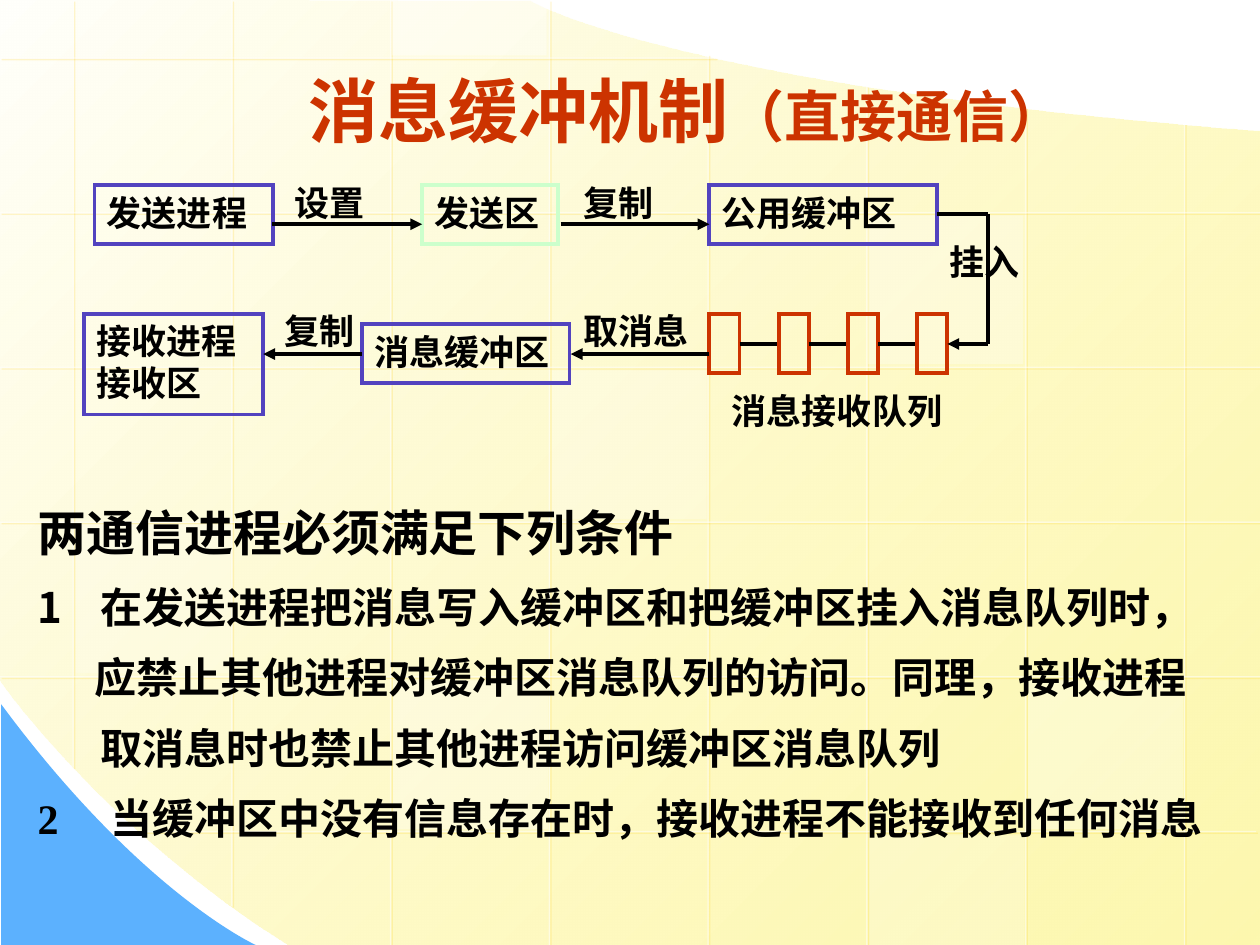
from lxml.etree import SubElement
from pptx import Presentation
from pptx.dml.color import RGBColor
from pptx.enum.shapes import MSO_CONNECTOR, MSO_SHAPE
from pptx.enum.text import MSO_ANCHOR, MSO_AUTO_SIZE, PP_ALIGN
from pptx.oxml.ns import qn
from pptx.util import Inches, Pt

WHITE = RGBColor(0xFF, 0xFF, 0xFF)
BLACK = RGBColor(0, 0, 0)
IVORY = RGBColor(0xFF, 0xFF, 0xFB)
YELLOW = RGBColor(0xFD, 0xF5, 0x8D)
SKY = RGBColor(0x5C, 0xB1, 0xFE)
GOLD = RGBColor(0xFF, 0xCC, 0x00)
RED = RGBColor(0xCC, 0x33, 0x00)
VIOLET = RGBColor(0x52, 0x43, 0xBF)
MINT = RGBColor(0xCC, 0xFF, 0xCC)

PANEL = [[(10, 1.04)],
         [(10, 4.27), (10, 7.5), (10, 7.5)],
         [(10, 7.5), (6.15, 7.5), (2.3, 7.5)],
         [(0.86, 6.61), (-0.01, 5.39), (0, 5.39)],
         [(-0.01, -0.01)], [(4.21, 0.01)],
         [(4.21, 0.01), (5.37, 0.69), (10, 1.04)]]
CORNER = [[(0.01, 5.59)],
          [(0.01, 6.55), (0.01, 7.5), (0.01, 7.5)], [(2.03, 7.5)],
          [(2.03, 7.5), (1.12, 7.09), (0.01, 5.59)]]
GRID_COLUMNS = [(0, 6.09), (0, 7.19), (0, 7.5), (0, 7.52),
                (0.43, 7.52), (0.68, 7.52), (0.85, 7.52), (0.98, 7.52)]
GRID_ROWS = [(5.68, 0)] + [(10.01, 0)] * 4 + [(9.97, 1.11)]
GRID_TOP, GRID_BOTTOM = 0.46, 6.6
TINTS = [(4.38, 2.94, 1.18, 25), (8.16, 5.4, 1.18, 30), (0.6, 4.16, 1.18, 20),
         (6.9, 6.63, 0.87, 20), (3.11, 0, 0.44, 40), (3.12, 5.4, 1.18, 30),
         (6.89, 1.71, 1.18, 30)]
BOXES = [(0.75, 1.47, 1.42, 0.47, VIOLET, ["发送进程"]),
         (3.35, 1.47, 1.08, 0.47, MINT, ["发送区"]),
         (5.63, 1.47, 1.81, 0.47, VIOLET, ["公用缓冲区"]),
         (2.87, 2.57, 1.65, 0.47, VIOLET, ["消息缓冲区"]),
         (0.67, 2.49, 1.42, 0.8, VIOLET, ["接收进程", "接收区"])]
ARROWS = [(2.16, 1.78, 3.35, 1.78), (4.45, 1.78, 5.63, 1.78),
          (7.84, 2.73, 7.52, 2.73), (5.63, 2.81, 4.53, 2.81),
          (2.87, 2.81, 2.09, 2.81)]
ELBOW = [(7.44, 1.7, 7.84, 1.7), (7.84, 1.7, 7.84, 2.73)]
LABELS = [(2.24, 1.39, 0.94, "设置"), (4.53, 1.39, 0.94, "复制"),
          (5.71, 3.04, 2.52, "消息接收队列"), (7.44, 1.86, 0.94, "挂入"),
          (4.53, 2.41, 1.18, "取消息"), (2.16, 2.41, 0.94, "复制")]
CONDITIONS = [
    ("两通信进程必须满足下列条件", 28, 0.5, -0.5, False),
    ("在发送进程把消息写入缓冲区和把缓冲区挂入消息队列时，", 24, 0.5, -0.5, True),
    ("应禁止其他进程对缓冲区消息队列的访问。同理，接收进程取消息时也禁止其他进程访问缓冲区消息队列",
     24, 0.5, -0.05, False),
    ("2\t当缓冲区中没有信息存在时，接收进程不能接收到任何消息", 24, 0.58, -0.58, False)]
FRAME = {"word_wrap": True, "vertical_anchor": MSO_ANCHOR.TOP,
         "auto_size": MSO_AUTO_SIZE.SHAPE_TO_FIT_TEXT}
TITLE_FRAME = {"word_wrap": True, "vertical_anchor": MSO_ANCHOR.BOTTOM}


def apply_format(target, values):
    """Set every attribute in values on target."""
    for name, value in values.items():
        setattr(target, name, value)


def set_alpha(parent, percent):
    """Make the first RGB colour under parent partly transparent."""
    color = next(parent.iter(qn("a:srgbClr")))
    SubElement(color, qn("a:alpha"), val=str(percent * 1000))


def add_run(paragraph, text, size, color=BLACK, font_name="Times New Roman"):
    """Append a bold run."""
    run = paragraph.add_run()
    run.text = text
    apply_format(run.font, {"name": font_name, "size": Pt(size), "bold": True})
    run.font.color.rgb = color


def add_curved(slide, outline):
    """Draw a closed outline whose three-point parts are cubic curves."""
    points = [(Inches(x), Inches(y)) for part in outline for x, y in part]
    builder = slide.shapes.build_freeform(*points[0])
    builder.add_line_segments(points[1:], close=False)
    shape = builder.convert_to_shape()
    outline_path = next(shape._element.iter(qn("a:path")))
    segments = iter(list(outline_path)[1:])
    for part in outline[1:]:
        group = [next(segments) for point in part]
        if len(part) == 3:
            curve = SubElement(outline_path, qn("a:cubicBezTo"))
            group[0].addprevious(curve)
            for segment in group:
                curve.append(segment[0])
                outline_path.remove(segment)
    SubElement(outline_path, qn("a:close"))
    shape.shadow.inherit = False
    shape.line.fill.background()
    return shape


def add_line(slide, ends, color=BLACK, width=2.25, arrow=False):
    """Draw a straight line and return it with its empty effect list."""
    line = slide.shapes.add_connector(MSO_CONNECTOR.STRAIGHT, *map(Inches, ends))
    line.line.color.rgb = color
    line.line.width = Pt(width)
    if arrow:
        SubElement(line.line._get_or_add_ln(), qn("a:tailEnd"), type="triangle")
    return line, SubElement(line._element.spPr, qn("a:effectLst"))


def add_grid_line(slide, ends):
    """Draw a faint white line with a golden shadow."""
    line, effects = add_line(slide, ends, WHITE, 0.75)
    set_alpha(line._element.spPr, 50)
    shadow = SubElement(effects, qn("a:outerShdw"), dist=str(Pt(1.4)), dir="2700000")
    SubElement(shadow, qn("a:srgbClr"), val=str(GOLD))
    set_alpha(shadow, 34)


def add_rectangle(slide, left, top, width, height):
    """Draw a plain rectangle."""
    shape = slide.shapes.add_shape(
        MSO_SHAPE.RECTANGLE, *map(Inches, (left, top, width, height)))
    shape.shadow.inherit = False
    return shape


def add_box(slide, left, top, width, height, color, lines=()):
    """Draw an outlined box with optional lines of text."""
    shape = add_rectangle(slide, left, top, width, height)
    shape.fill.background()
    shape.line.color.rgb = color
    shape.line.width = Pt(2.25)
    SubElement(shape.line._get_or_add_ln(), qn("a:miter"), lim="800000")
    if lines:
        apply_format(shape.text_frame, FRAME)
    for index, text in enumerate(lines):
        frame = shape.text_frame
        paragraph = frame.add_paragraph() if index else frame.paragraphs[0]
        paragraph.alignment = PP_ALIGN.LEFT
        add_run(paragraph, text, 20)


def add_text_frame(slide, left, top, width, height, values=FRAME):
    """Add a text box and return its frame."""
    box = slide.shapes.add_textbox(*map(Inches, (left, top, width, height)))
    apply_format(box.text_frame, values)
    return box.text_frame


def add_background(slide):
    """Draw the coloured panels, the grid and its tinted cells."""
    panel = add_curved(slide, PANEL)
    panel.fill.gradient()
    panel.fill.gradient_angle = 315
    stops = panel.fill.gradient_stops
    for stop, color, position in zip(stops, (IVORY, YELLOW), (0, 1)):
        stop.color.rgb = color
        stop.position = position
    set_alpha(stops[1]._gs, 70)
    corner = add_curved(slide, CORNER)
    corner.fill.solid()
    corner.fill.fore_color.rgb = SKY
    for index, (top, bottom) in enumerate(GRID_COLUMNS):
        x = 0.58 + 1.26 * index
        add_grid_line(slide, (x, top, x, bottom))
    row_gap = (GRID_BOTTOM - GRID_TOP) / (len(GRID_ROWS) - 1)
    for index, (right, left) in enumerate(GRID_ROWS):
        y = GRID_TOP + row_gap * index
        add_grid_line(slide, (right, y, left, y))
    for left, top, height, alpha in TINTS:
        tint = add_rectangle(slide, left, top, 1.23, height)
        tint.fill.solid()
        tint.fill.fore_color.rgb = WHITE
        tint.line.fill.background()
        set_alpha(tint._element.spPr, alpha)


def add_diagram(slide):
    """Draw the message flow with its receive queue."""
    for box in BOXES:
        add_box(slide, *box)
    for index in range(4):
        left = 5.63 + 0.55 * index
        add_box(slide, left, 2.49, 0.24, 0.47, RED)
        if index < 3:
            add_line(slide, (left + 0.24, 2.73, left + 0.55, 2.73))
    for ends in ELBOW:
        add_line(slide, ends)
    for ends in ARROWS:
        add_line(slide, ends, arrow=True)
    for left, top, width, text in LABELS:
        add_run(add_text_frame(slide, left, top, width, 0.43).paragraphs[0], text, 20)


def add_conditions(slide):
    """Write the heading and the conditions below the diagram."""
    frame = add_text_frame(slide, 0.2, 3.75, 9.5, 2.99)
    for index, (text, size, margin, indent, numbered) in enumerate(CONDITIONS):
        paragraph = frame.add_paragraph() if index else frame.paragraphs[0]
        paragraph.line_spacing = 1.4
        properties = paragraph._p.get_or_add_pPr()
        properties.set("marL", str(Inches(margin)))
        properties.set("indent", str(Inches(indent)))
        if numbered:
            SubElement(properties, qn("a:buAutoNum"), type="arabicPlain")
        add_run(paragraph, text, size)


def main():
    """Build and save the slide."""
    presentation = Presentation()
    apply_format(presentation, {"slide_width": Inches(10), "slide_height": Inches(7.5)})
    slide = presentation.slides.add_slide(presentation.slide_layouts[6])
    add_background(slide)
    title = add_text_frame(slide, 1.2, 0.44, 8.5, 0.81, TITLE_FRAME).paragraphs[0]
    title.alignment = PP_ALIGN.CENTER
    add_run(title, "消息缓冲机制", 40, RED, "Arial")
    add_run(title, "（直接通信）", 32, RED, "Arial")
    add_diagram(slide)
    add_conditions(slide)
    presentation.save("out.pptx")


if __name__ == "__main__":
    main()
